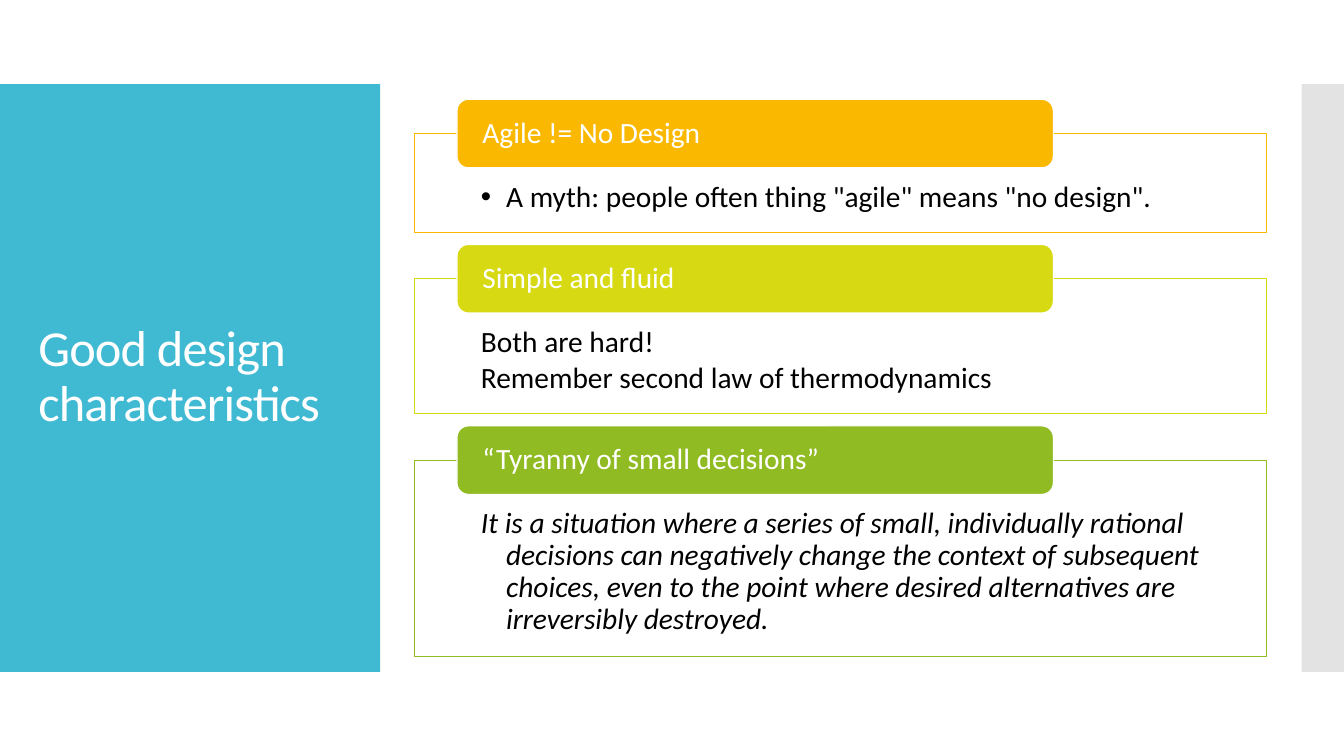
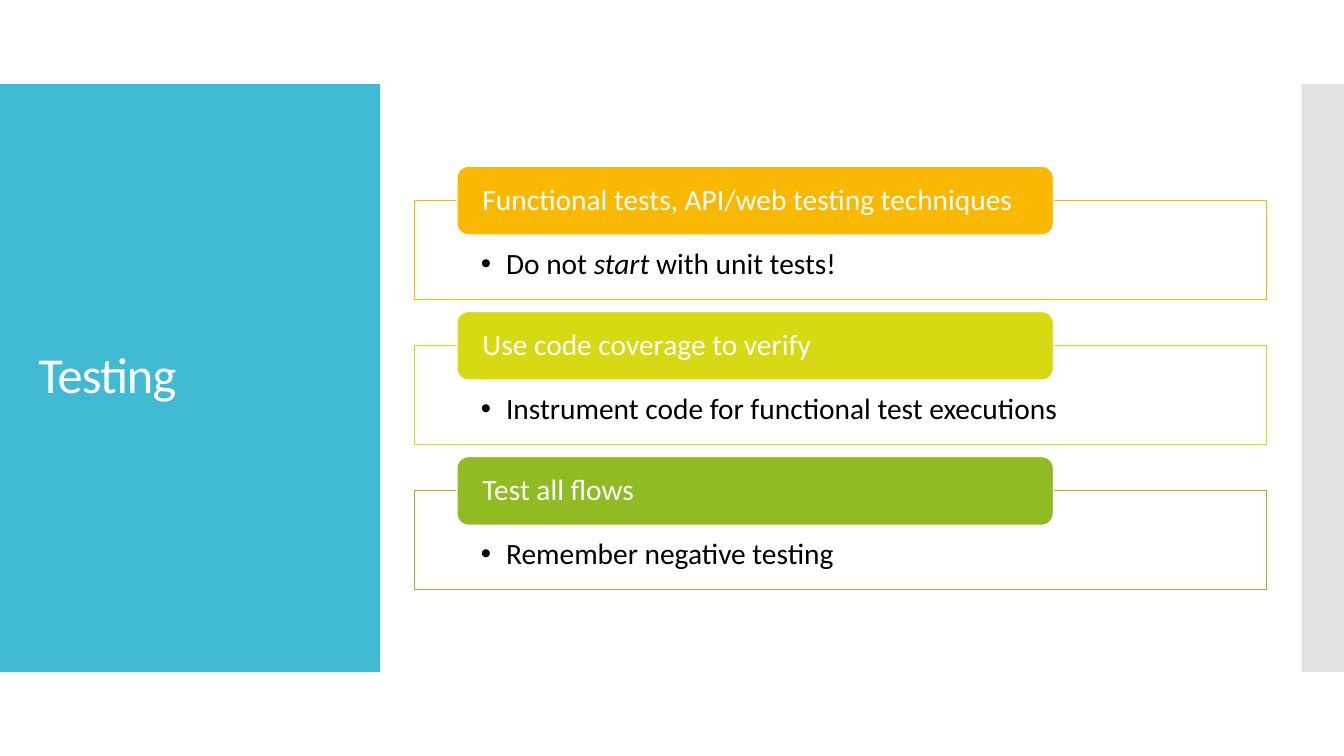
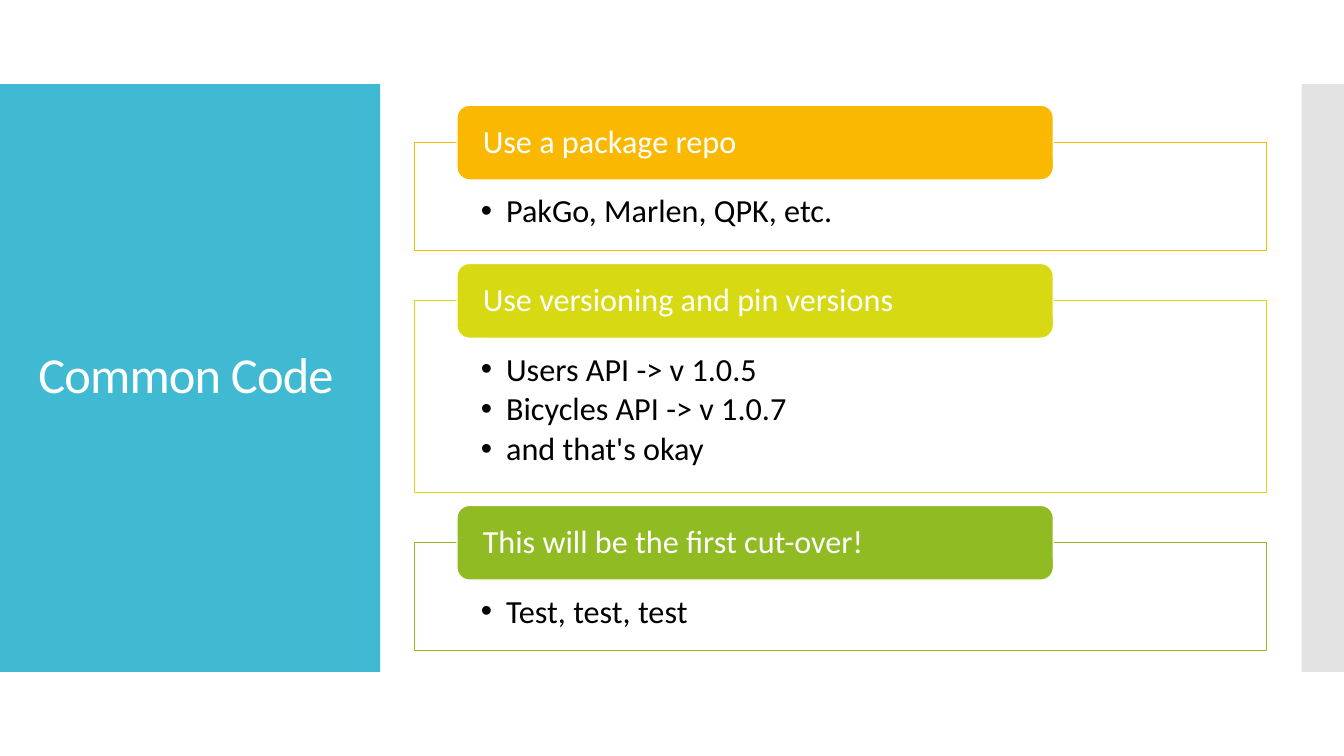
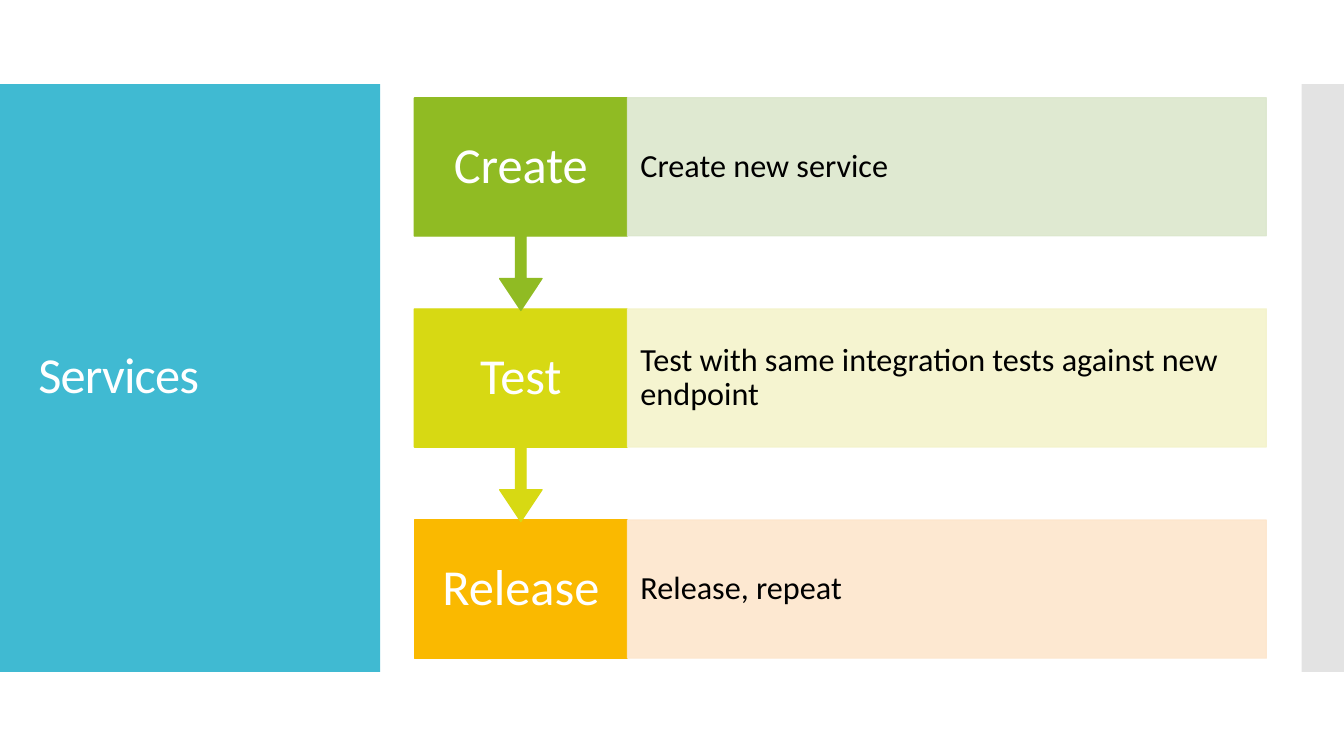
"""Build a four-slide deck on design, testing, common code and services."""
from lxml.etree import SubElement
from pptx import Presentation
from pptx.dml.color import RGBColor
from pptx.enum.shapes import MSO_SHAPE as Preset
from pptx.enum.text import MSO_ANCHOR as Anchor, MSO_AUTO_SIZE as AutoSize, PP_ALIGN as Align
from pptx.oxml.ns import qn
from pptx.util import Inches, Pt

COLORS = {
    "panel": "40BAD2", "edge": "C8C8C8", "white": "FFFFFF", "black": "000000",
    "amber": "FAB900", "lime": "D7D913", "green": "90BB23",
    "pale amber": "FDE6CC", "pale lime": "F4F3CB", "pale green": "DCE7CD",
}
FONT = "Calibri"
BULLET, PLAIN = True, False
CARD_COLORS = ("amber", "lime", "green")

CARD_SLIDES = [
    {"title": "Good design characteristics", "size": 21, "tab": 0.68, "gap": 0.12,
     "insets": (0.66, 0.48, 0.66, 0.16),
     "cards": [
         ("Agile != No Design", 0.98, BULLET,
          [[("A myth: people often thing \"agile\" means \"no design\".", False)]]),
         ("Simple and fluid", 1.34, PLAIN,
          [[("Both are hard!", False)],
           [("Remember second law of thermodynamics", False)]]),
         ("“Tyranny of small decisions”", 1.95, PLAIN,
          [[("It is a situation where a series of small, individually rational decisions "
             "can negatively change the context of subsequent choices, even to the point "
             "where desired alternatives are irreversibly destroyed.", True)]]),
     ]},
    {"title": "Testing", "size": 21, "tab": 0.68, "gap": 0.12,
     "insets": (0.66, 0.48, 0.66, 0.16),
     "cards": [
         ("Functional tests, API/web testing techniques", 0.98, BULLET,
          [[("Do not ", False), ("start", True), (" with unit tests!", False)]]),
         ("Use code coverage to verify", 0.98, BULLET,
          [[("Instrument code for functional test executions", False)]]),
         ("Test all flows", 0.98, BULLET, [[("Remember negative testing", False)]]),
     ]},
    {"title": "Common Code", "size": 23, "tab": 0.74, "gap": 0.13,
     "insets": (0.66, 0.52, 0.66, 0.18),
     "cards": [
         ("Use a package repo", 1.07, BULLET, [[("PakGo, Marlen, QPK, etc.", False)]]),
         ("Use versioning and pin versions", 1.9, BULLET,
          [[("Users API -> v 1.0.5", False)],
           [("Bicycles API -> v 1.0.7", False)],
           [("and that's okay", False)]]),
         ("This will be the first cut-over!", 1.07, BULLET,
          [[("Test, test, test", False)]]),
     ]},
]
STEPS_TITLE = "Services"
STEPS = [
    ("Create", "Create new service", "green"),
    ("Test", "Test with same integration tests against new endpoint", "lime"),
    ("Release", "Release, repeat", "amber"),
]

WIDTH, HEIGHT = 13.33, 7.5
BAND_TOP, BAND_HEIGHT = HEIGHT / 9, HEIGHT * 7 / 9
PANEL_WIDTH, EDGE_WIDTH = 3.77, 0.42
CONTENT_LEFT, CONTENT_WIDTH = 4.11, 8.45
TITLE_BOX = (0.28, 1.23, 3.22, 5.03)
STEP_TOP, STEP_PITCH, STEP_HEIGHT, CALLOUT_HEIGHT = 0.97, 2.095, 1.37, 2.11


def rgb(name):
    return RGBColor.from_string(COLORS[name])


def set_alpha(fill_element, percent):
    color = fill_element.find(".//" + qn("a:srgbClr"))
    SubElement(color, qn("a:alpha")).set("val", str(percent * 1000))


def add_block(slide, preset, box, fill, line=None, alpha=100, line_alpha=100):
    shape = slide.shapes.add_shape(preset, *map(Inches, box))
    shape.shadow.inherit = False
    shape.fill.solid()
    shape.fill.fore_color.rgb = rgb(fill)
    if alpha < 100:
        set_alpha(shape.element.spPr.find(qn("a:solidFill")), alpha)
    if line is None:
        shape.line.fill.background()
    else:
        shape.line.color.rgb = rgb(line)
        shape.line.width = Pt(0.85)
        if line_alpha < 100:
            set_alpha(shape.element.spPr.find(qn("a:ln")), line_alpha)
    return shape


def set_hanging_indent(paragraph, bullet):
    properties = paragraph._p.get_or_add_pPr()
    properties.set("marL", str(Inches(0.25)))
    properties.set("indent", str(-Inches(0.25)))
    if bullet:
        SubElement(properties, qn("a:buFont")).set("typeface", "Arial")
        SubElement(properties, qn("a:buChar")).set("char", "•")


def write_text(shape, paragraphs, size, color, insets, anchor=Anchor.MIDDLE,
               align=Align.LEFT, after=0):
    frame = shape.text_frame
    frame.word_wrap = True
    frame.auto_size = AutoSize.NONE
    frame.vertical_anchor = anchor
    (frame.margin_left, frame.margin_top,
     frame.margin_right, frame.margin_bottom) = map(Inches, insets)
    for index, runs in enumerate(paragraphs):
        paragraph = frame.add_paragraph() if index else frame.paragraphs[0]
        paragraph.alignment = align
        paragraph.line_spacing = 0.9
        paragraph.space_after = Pt(after)
        for text, italic in runs:
            run = paragraph.add_run()
            run.text = text
            run.font.name = FONT
            run.font.size = Pt(size)
            run.font.italic = italic
            run.font.color.rgb = rgb(color)
    return frame.paragraphs


def add_titled_slide(presentation, layout, title):
    slide = presentation.slides.add_slide(layout)
    placeholder = slide.shapes.title
    (placeholder.left, placeholder.top,
     placeholder.width, placeholder.height) = map(Inches, TITLE_BOX)
    heading = write_text(placeholder, [[(title, False)]], 36, "white", (0.1, 0.05, 0.1, 0.05))
    heading[0].runs[0]._r.get_or_add_rPr().set("spc", "-60")
    return slide


def move_bands_to_layout(slide, layout):
    panel = add_block(slide, Preset.RECTANGLE,
                      (0, BAND_TOP, PANEL_WIDTH, BAND_HEIGHT), "panel")
    edge = add_block(slide, Preset.RECTANGLE,
                     (WIDTH - EDGE_WIDTH, BAND_TOP, EDGE_WIDTH, BAND_HEIGHT),
                     "edge", alpha=50)
    for band in (panel, edge):
        layout.shapes.element.append(band.element)


def add_cards(slide, content):
    size, tab_height, gap = content["size"], content["tab"], content["gap"]
    cards = content["cards"]
    total = sum(tab_height / 2 + card[1] for card in cards) + gap * (len(cards) - 1)
    top = (HEIGHT - total) / 2
    for (heading, height, bullet, body), color in zip(cards, CARD_COLORS):
        box_top = top + tab_height / 2
        box = add_block(slide, Preset.RECTANGLE,
                        (CONTENT_LEFT, box_top, CONTENT_WIDTH, height),
                        "white", color, alpha=90)
        for paragraph in write_text(box, body, size, "black", content["insets"],
                                    Anchor.TOP, after=size * 0.15):
            set_hanging_indent(paragraph, bullet)
        tab = add_block(slide, Preset.ROUNDED_RECTANGLE,
                        (CONTENT_LEFT + CONTENT_WIDTH * 0.05, top,
                         CONTENT_WIDTH * 0.7, tab_height), color, "white")
        write_text(tab, [[(heading, False)]], size, "white", (0.22, 0, 0.22, 0))
        top = box_top + height + gap


def add_steps(slide):
    label_width = CONTENT_WIDTH / 4
    last = len(STEPS) - 1
    for index, (name, detail, color) in reversed(list(enumerate(STEPS))):
        top = STEP_TOP + index * STEP_PITCH
        preset, height = ((Preset.RECTANGLE, STEP_HEIGHT) if index == last
                          else (Preset.DOWN_ARROW_CALLOUT, CALLOUT_HEIGHT))
        label = add_block(slide, preset, (CONTENT_LEFT, top, label_width, height),
                          color, color)
        if index < last:
            for position, value in enumerate((0.05, 0.1, 0.15, 0.65)):
                label.adjustments[position] = value
        write_text(label, [[(name, False)]], 36, "white", (0.15, 0.28, 0.15, 0.28),
                   align=Align.CENTER)
        pale = "pale " + color
        description = add_block(slide, Preset.RECTANGLE,
                                (CONTENT_LEFT + label_width, top,
                                 CONTENT_WIDTH - label_width, STEP_HEIGHT),
                                pale, pale, alpha=90, line_alpha=90)
        write_text(description, [[(detail, False)]], 23, "black", (0.13, 0.32, 0.13, 0.32))


def main():
    presentation = Presentation()
    presentation.slide_width, presentation.slide_height = Inches(WIDTH), Inches(HEIGHT)
    layout = presentation.slide_layouts.get_by_name("Title Only")
    for index, content in enumerate(CARD_SLIDES):
        slide = add_titled_slide(presentation, layout, content["title"])
        if index == 0:
            move_bands_to_layout(slide, layout)
        add_cards(slide, content)
    add_steps(add_titled_slide(presentation, layout, STEPS_TITLE))
    presentation.save("out.pptx")


main()
